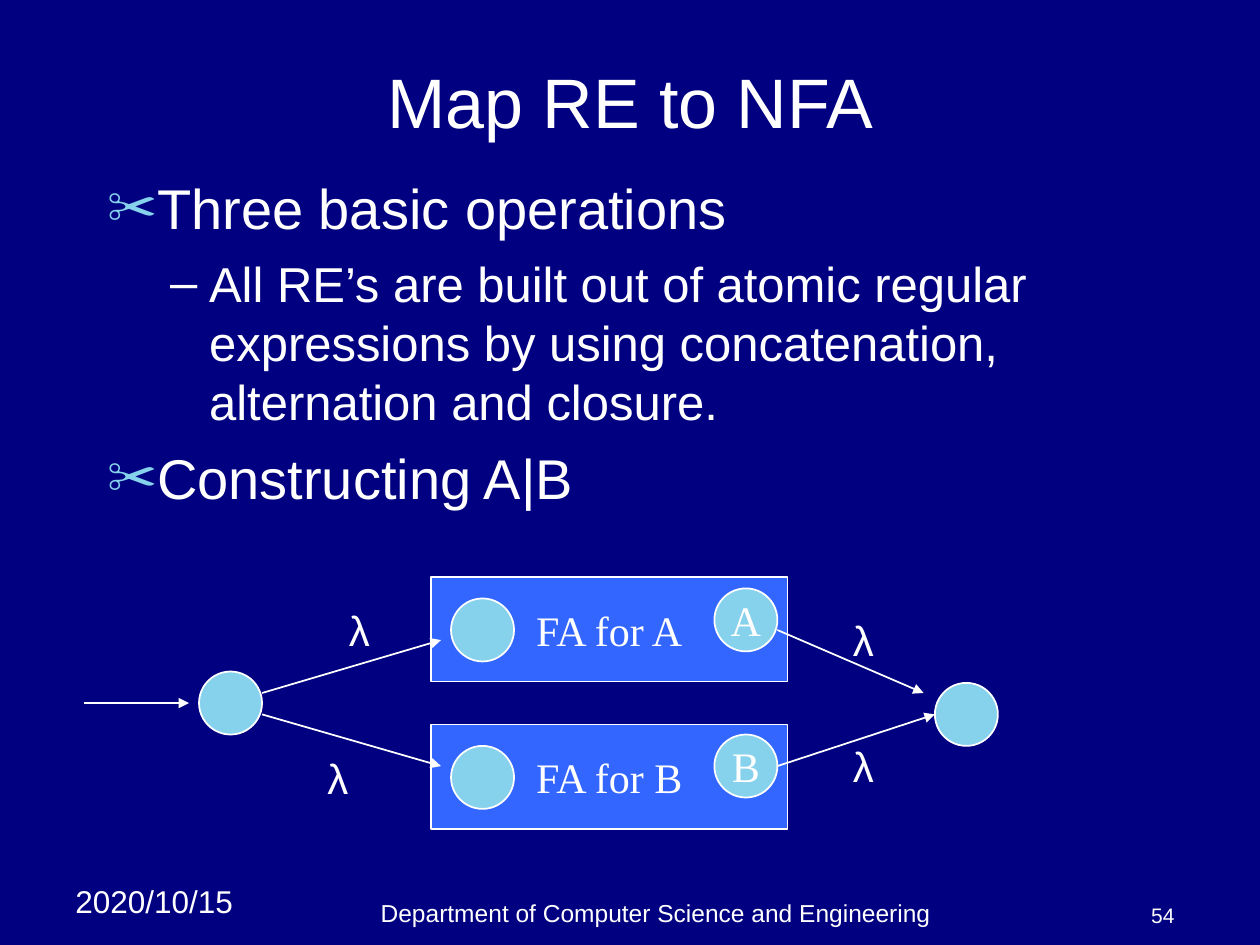
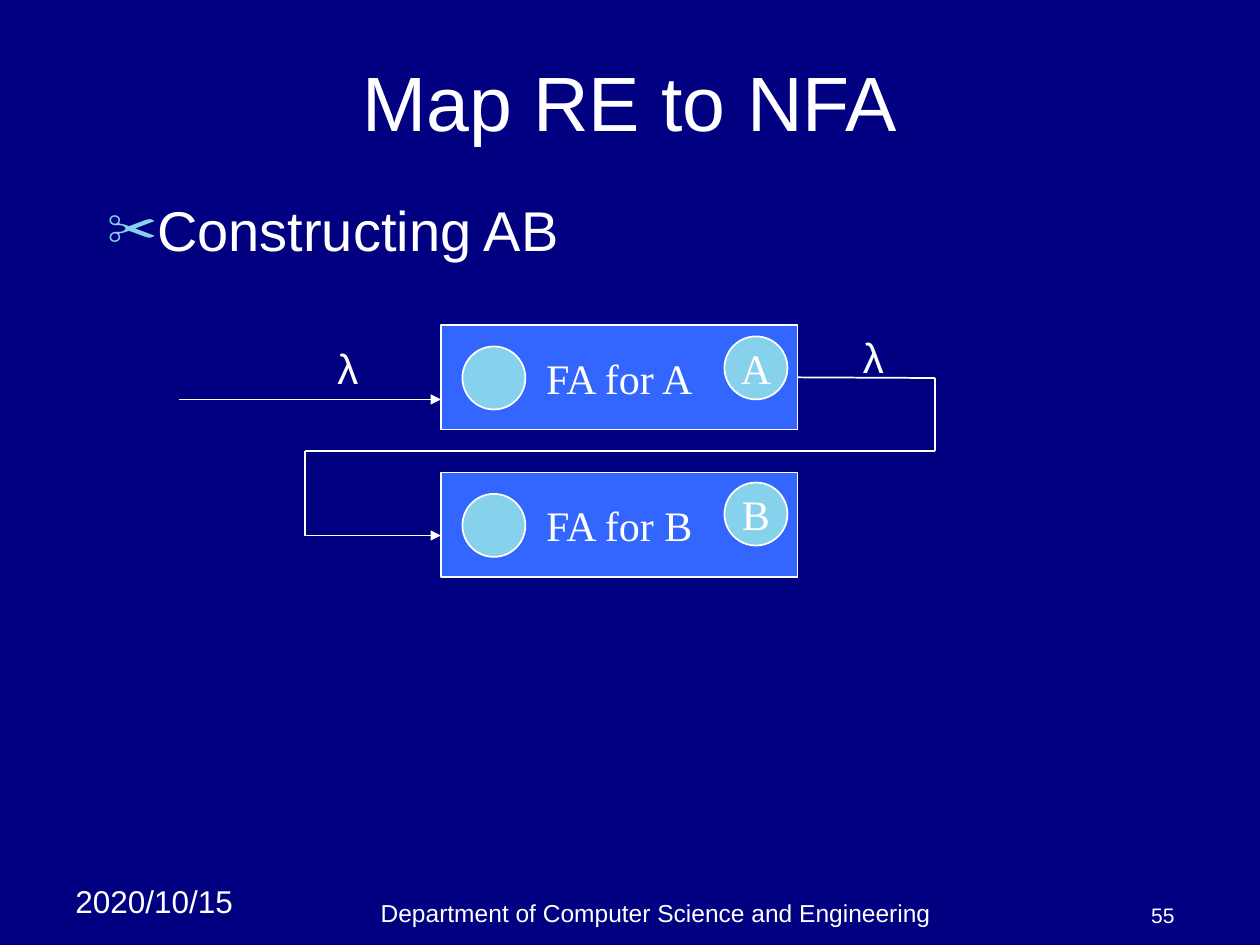
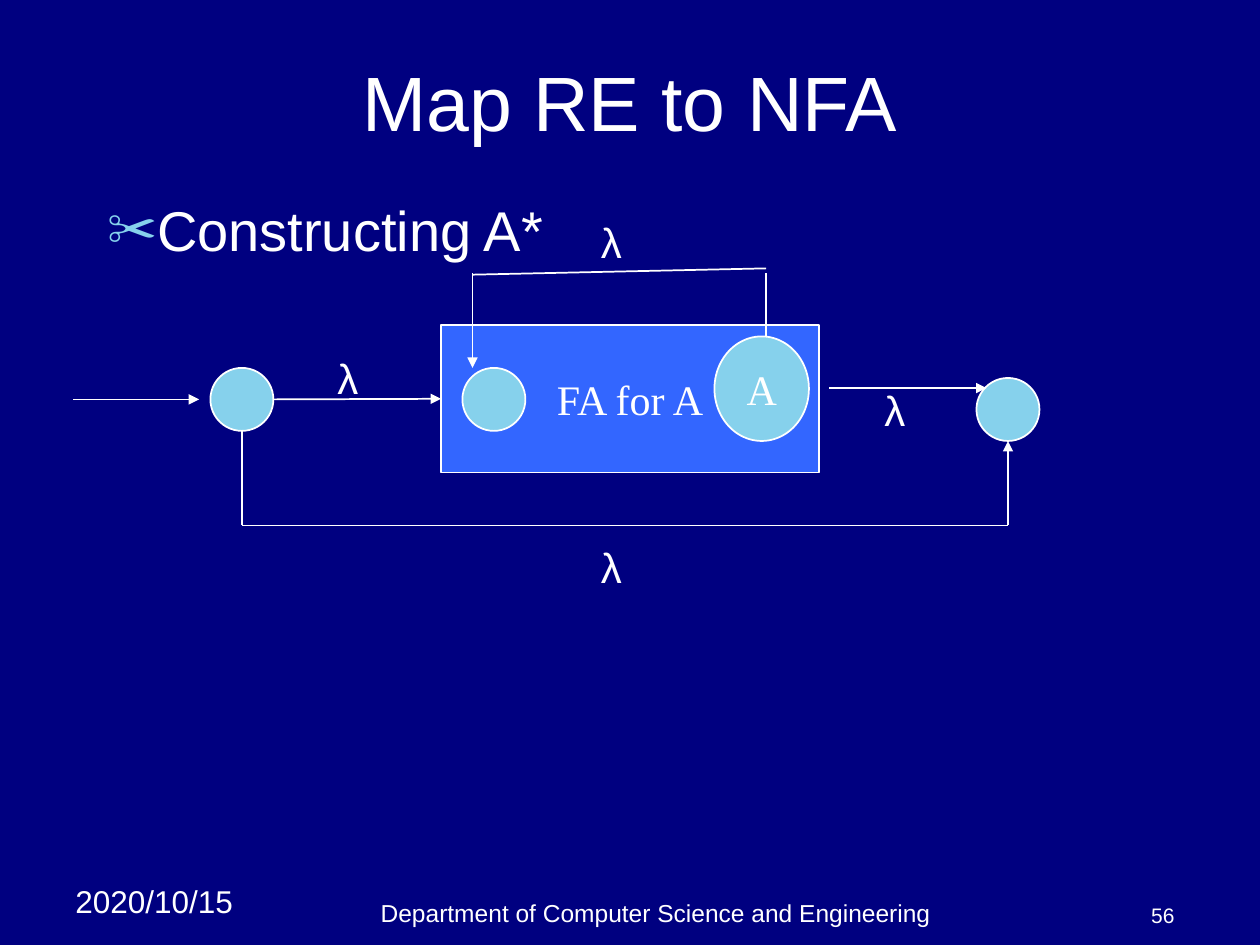
from lxml import etree
from pptx import Presentation
from pptx.dml.color import RGBColor
from pptx.enum.shapes import MSO_CONNECTOR, MSO_SHAPE
from pptx.enum.text import MSO_ANCHOR, MSO_AUTO_SIZE, PP_ALIGN
from pptx.oxml.ns import qn
from pptx.util import Inches, Pt

COLORS = {"background": "000080", "text": "FFFFFF", "machine": "3366FF", "state": "86D1EC"}
SANS, SERIF = "Arial", "Times New Roman"
FIRST_NUMBER = 54

# Per list level: indent, hanging, bullet, bullet colour, bullet size, text size, space before
LEVELS = [
    (0.38, 0.38, "✂", "state", 90, 32, 8),
    (0.81, 0.31, "–", "text", 100, 28, 7),
]

# Footer parts: left, top, width, height, size, alignment, anchor
DATE = (0.5, 6.95, 1.58, 0.4, 18, PP_ALIGN.LEFT, MSO_ANCHOR.TOP)
DEPARTMENT = (1.83, 7.08, 6.75, 0.33, 14, PP_ALIGN.CENTER, MSO_ANCHOR.BOTTOM)
NUMBER = (8.75, 7.08, 0.67, 0.33, 12, PP_ALIGN.RIGHT, MSO_ANCHOR.BOTTOM)

# machines: left, top, width, height, name
# states: left, top, width, height, name
# moves: x1, y1, x2, y2, arrowhead, end joined to the first machine
SLIDES = [
    {
        "title_size": 40,
        "list_top": 1.33,
        "points": [
            (0, "Three basic operations"),
            (1, "All RE’s are built out of atomic regular expressions by using "
                "concatenation, alternation and closure."),
            (0, "Constructing A|B"),
        ],
        "machines": [(3.42, 4.58, 2.83, 0.83, "A"), (3.42, 5.75, 2.83, 0.83, "B")],
        "states": [
            (5.67, 4.67, 0.5, 0.5, "A"), (3.58, 4.75, 0.5, 0.5, ""),
            (5.67, 5.83, 0.5, 0.5, "B"), (3.58, 5.92, 0.5, 0.5, ""),
            (1.58, 5.33, 0.5, 0.5, ""), (7.42, 5.42, 0.5, 0.5, ""),
        ],
        "moves": [
            (0.67, 5.58, 1.5, 5.58, True, None),
            (2.08, 5.5, 3.5, 5.08, True, None),
            (2.08, 5.67, 3.5, 6.08, True, None),
            (6.17, 5, 7.33, 5.5, True, None),
            (6.17, 6.08, 7.42, 5.67, True, None),
        ],
        "lambdas": [(2.67, 4.75), (2.5, 5.92), (6.67, 4.83), (6.67, 5.83)],
    },
    {
        "title_size": 44,
        "list_top": 1.5,
        "points": [(0, "Constructing AB")],
        "machines": [(3.5, 2.58, 2.83, 0.83, "A"), (3.5, 3.75, 2.83, 0.83, "B")],
        "states": [
            (5.75, 2.67, 0.5, 0.5, "A"), (3.67, 2.75, 0.5, 0.5, ""),
            (5.75, 3.83, 0.5, 0.5, "B"), (3.67, 3.92, 0.5, 0.5, ""),
        ],
        "moves": [
            (1.42, 3.17, 3.5, 3.17, True, None),
            (6.33, 3, 7.42, 3, False, "begin"),
            (7.42, 3, 7.42, 3.58, False, None),
            (2.42, 3.58, 7.42, 3.58, False, None),
            (2.42, 3.58, 2.42, 4.25, False, None),
            (2.42, 4.25, 3.5, 4.25, True, None),
        ],
        "lambdas": [(2.58, 2.67), (6.75, 2.58)],
    },
    {
        "title_size": 44,
        "list_top": 1.5,
        "points": [(0, "Constructing A*")],
        "machines": [(3.5, 2.58, 3, 1.17, "A")],
        "states": [
            (5.67, 2.67, 0.75, 0.83, "A"), (3.67, 2.92, 0.5, 0.5, ""),
            (7.75, 3, 0.5, 0.5, ""), (1.67, 2.92, 0.5, 0.5, ""),
        ],
        "moves": [
            (0.58, 3.17, 1.58, 3.17, True, None),
            (2.17, 3.17, 3.5, 3.17, True, "end"),
            (6.08, 2.67, 6.08, 2.17, False, None),
            (3.75, 2.18, 6.08, 2.13, False, None),
            (3.75, 2.17, 3.75, 2.92, True, None),
            (6.58, 3.08, 7.83, 3.08, True, None),
            (1.92, 3.42, 1.92, 4.17, False, None),
            (1.92, 4.17, 8, 4.17, False, None),
            (8, 4.17, 8, 3.5, True, None),
        ],
        "lambdas": [(2.58, 2.75), (4.67, 1.67), (4.67, 4.25), (6.92, 3)],
    },
]


def write(paragraph, text, size, face=SANS, align=PP_ALIGN.LEFT):
    paragraph.alignment = align
    run = paragraph.add_run()
    run.text = text
    run.font.size = Pt(size)
    run.font.name = face
    run.font.color.rgb = RGBColor.from_string(COLORS["text"])


def add_node(slide, preset, place, color, text):
    node = slide.shapes.add_shape(preset, *map(Inches, place))
    node.shadow.inherit = False
    node.fill.solid()
    node.fill.fore_color.rgb = RGBColor.from_string(COLORS[color])
    node.line.color.rgb = RGBColor.from_string(COLORS["text"])
    node.line.width = Pt(1)
    node.text_frame.word_wrap = False
    node.text_frame.vertical_anchor = MSO_ANCHOR.MIDDLE
    if text:
        write(node.text_frame.paragraphs[0], text, 24, SERIF, PP_ALIGN.CENTER)
    return node


prs = Presentation()
prs.slide_width, prs.slide_height = Inches(10), Inches(7.5)

# Shared background and title place
background = prs.slide_master.background.fill
background.solid()
background.fore_color.rgb = RGBColor.from_string(COLORS["background"])
layout = prs.slide_layouts[1]
layout_title = layout.placeholders[0]
layout_title.left, layout_title.top = Inches(0.5), Inches(0.3)
layout_title.width, layout_title.height = Inches(9), Inches(1)

for number, content in enumerate(SLIDES, FIRST_NUMBER):
    slide = prs.slides.add_slide(layout)

    # Footer
    for place, text in ((DATE, "2020/10/15"),
                        (DEPARTMENT, "Department of Computer Science and Engineering"),
                        (NUMBER, str(number))):
        *box, size, align, anchor = place
        footer = slide.shapes.add_textbox(*map(Inches, box)).text_frame
        footer.word_wrap = True
        footer.vertical_anchor = anchor
        write(footer.paragraphs[0], text, size, SANS, align)

    # Title
    title = slide.shapes.title.text_frame
    title.auto_size = MSO_AUTO_SIZE.NONE
    title.vertical_anchor = MSO_ANCHOR.MIDDLE
    write(title.paragraphs[0], "Map RE to NFA", content["title_size"], SANS, PP_ALIGN.CENTER)

    # Bulleted list
    body = slide.placeholders[1]
    body.left, body.top = Inches(0.75), Inches(content["list_top"])
    body.width, body.height = Inches(8.5), Inches(5.58)
    points = body.text_frame
    points.auto_size = MSO_AUTO_SIZE.NONE
    for index, (level, text) in enumerate(content["points"]):
        indent, hanging, bullet, color, percent, size, before = LEVELS[level]
        point = points.add_paragraph() if index else points.paragraphs[0]
        point.level = level
        props = point._p.get_or_add_pPr()
        props.set("marL", str(Inches(indent)))
        props.set("indent", str(-Inches(hanging)))
        bullet_color = etree.SubElement(props, qn("a:buClr"))
        etree.SubElement(bullet_color, qn("a:srgbClr"), val=COLORS[color])
        etree.SubElement(props, qn("a:buSzPct"), val=str(percent * 1000))
        etree.SubElement(props, qn("a:buFont"), typeface=SANS)
        etree.SubElement(props, qn("a:buChar"), char=bullet)
        point.space_before = Pt(before if index else 0)
        write(point, text, size)

    # Automata and their states
    machines = [add_node(slide, MSO_SHAPE.RECTANGLE, place, "machine", f"FA for {name}")
                for *place, name in content["machines"]]
    for *place, name in content["states"]:
        add_node(slide, MSO_SHAPE.OVAL, place, "state", name)

    # Moves between states
    for *ends, arrow, joined in content["moves"]:
        move = slide.shapes.add_connector(MSO_CONNECTOR.STRAIGHT, *map(Inches, ends))
        move.line.color.rgb = RGBColor.from_string(COLORS["text"])
        move.line.width = Pt(1)
        if arrow:
            etree.SubElement(move.line._get_or_add_ln(), qn("a:tailEnd"), type="triangle")
        etree.SubElement(move._element.spPr, qn("a:effectLst"))
        if joined == "begin":
            move.begin_connect(machines[0], 3)
        elif joined == "end":
            move.end_connect(machines[0], 1)

    # Lambda labels
    for left, top in content["lambdas"]:
        label = slide.shapes.add_textbox(*map(Inches, (left, top, 0.38, 0.5))).text_frame
        label.word_wrap = False
        label.auto_size = MSO_AUTO_SIZE.SHAPE_TO_FIT_TEXT
        write(label.paragraphs[0], "λ", 24)

prs.save("out.pptx")
